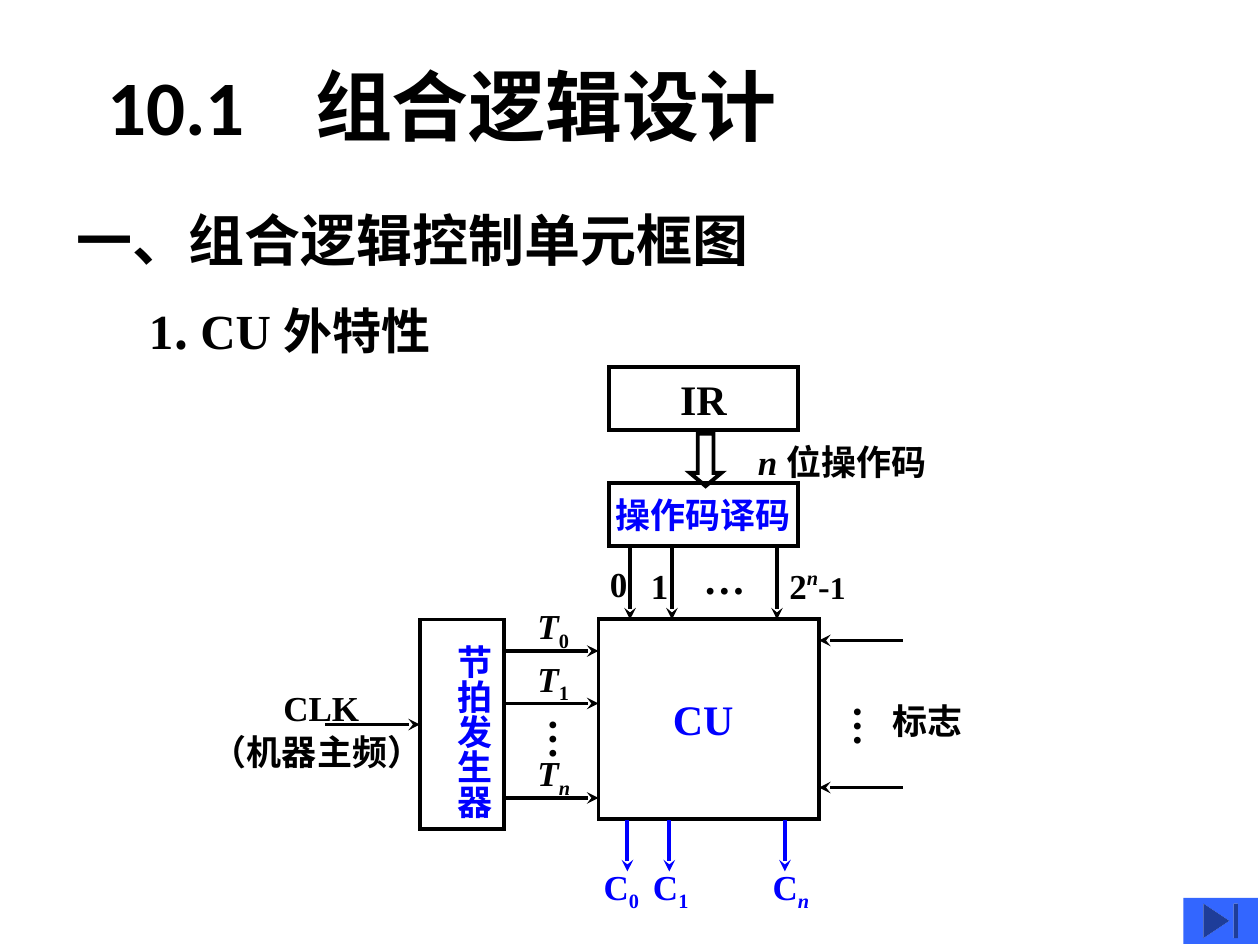
from lxml.etree import SubElement
from pptx import Presentation
from pptx.dml.color import RGBColor
from pptx.enum.shapes import MSO_CONNECTOR, MSO_SHAPE
from pptx.enum.text import MSO_ANCHOR, MSO_AUTO_SIZE, PP_ALIGN
from pptx.oxml.ns import qn
from pptx.util import Inches, Pt

COLORS = {"ink": "000000", "signal": "0000FF", "button": "3366FF"}
SERIF, SANS, CJK = "Times New Roman", "Calibri", "Noto Sans CJK SC"
CELLS_PER_INCH = 12
LINE_WIDTH = Pt(2.25)
SUB, SUPER = -25000, 40000


def color(name):
    return RGBColor.from_string(COLORS[name])


def cells(*lengths):
    """Turn columns and rows of the slide grid into lengths."""
    return [Inches(length / CELLS_PER_INCH) for length in lengths]


def write(para, text, size=20, font=SERIF, ink="ink", italic=False, baseline=0):
    span = para.add_run()
    span.text = text
    span.font.size = Pt(size)
    span.font.name = font
    span.font.bold = True
    span.font.italic = italic
    span.font.color.rgb = color(ink)
    properties = span.font._element
    SubElement(properties, qn("a:ea")).set("typeface", CJK)
    if baseline:
        properties.set("baseline", str(baseline))


def add_label(page, place, *spans, vertical=False, wrap=False, **style):
    """Add a text box; each span is a text or a (text, own format) pair."""
    box = page.shapes.add_textbox(*cells(*place))
    frame = box.text_frame
    frame.word_wrap = wrap
    frame.auto_size = MSO_AUTO_SIZE.SHAPE_TO_FIT_TEXT
    if vertical:
        frame.margin_left = frame.margin_right = Inches(0.05)
        frame._txBody.bodyPr.set("vert", "eaVert")
    for span in spans:
        text, own = (span, {}) if isinstance(span, str) else span
        write(frame.paragraphs[0], text, **{**style, **own})


def add_outline(page, place, kind=MSO_SHAPE.RECTANGLE, text="", **style):
    shape = page.shapes.add_shape(kind, *cells(*place))
    shape.shadow.inherit = False
    shape.fill.background()
    shape.line.color.rgb = color("ink")
    shape.line.width = LINE_WIDTH
    SubElement(shape.line._get_or_add_ln(), qn("a:miter")).set("lim", "800000")
    if text:
        frame = shape.text_frame
        frame.word_wrap = False
        frame.vertical_anchor = MSO_ANCHOR.MIDDLE
        frame.paragraphs[0].alignment = PP_ALIGN.CENTER
        write(frame.paragraphs[0], text, **style)
    return shape


def add_arrow(page, start, end, ink="ink"):
    arrow = page.shapes.add_connector(MSO_CONNECTOR.STRAIGHT, *cells(*start, *end))
    arrow.line.color.rgb = color(ink)
    arrow.line.width = LINE_WIDTH
    SubElement(arrow.line._get_or_add_ln(), qn("a:tailEnd")).set("type", "stealth")
    SubElement(arrow._element.spPr, qn("a:effectLst"))
    return arrow


def add_title(page):
    title = page.shapes.title
    title.left, title.top, title.width, title.height = cells(9, 3, 102, 18)
    title.text_frame.vertical_anchor = MSO_ANCHOR.MIDDLE
    title.text_frame.margin_bottom = Inches(0.29)
    para = title.text_frame.paragraphs[0]
    para.alignment = PP_ALIGN.LEFT
    para.line_spacing = 0.9
    stops = SubElement(para._p.get_or_add_pPr(), qn("a:tabLst"))
    SubElement(stops, qn("a:tab"), pos=str(Inches(1.65)), algn="l")
    write(para, "10.1\t组合逻辑设计", size=44, font=SANS)


def add_headings(page):
    add_label(page, (6.1, 19, 67, 7.7), "一、组合逻辑控制单元框图", size=32, font=CJK)
    add_label(page, (13, 28, 45, 6.8), "1", (". ", {"font": CJK}), "CU ",
              ("外特性", {"font": CJK}), size=28, wrap=True)


def add_opcode_path(page):
    add_outline(page, (58, 35, 18, 6), text="IR", size=24)
    add_outline(page, (58, 46, 18, 6), text="操作码译码", ink="signal")
    block_arrow = add_outline(page, (65.7, 41.3, 3, 5), MSO_SHAPE.DOWN_ARROW)
    block_arrow.adjustments[1] = 0.42
    add_label(page, (71, 41.4, 20, 5.3), ("n ", {"italic": True}), "位操作码")
    for column in (60, 64, 74):
        add_arrow(page, (column, 52), (column, 59))
    add_label(page, (56.9, 53, 4.5, 5.3), "0")
    add_label(page, (60.8, 53.2, 4.5, 5.3), "1")
    add_label(page, (74, 53.2, 8.5, 5.3), "2",
              ("n", {"italic": True, "baseline": SUPER}), "-", ("1", {"size": 18}))
    add_label(page, (65.8, 52, 6.8, 6), "…", size=24)


def add_clock_path(page):
    add_label(page, (41.3, 60.2, 6.4, 18.5), "节拍发生器", ink="signal", vertical=True)
    generator = add_outline(page, (40, 59, 8, 20))
    add_arrow(page, (31, 69), (40, 69)).end_connect(generator, 1)
    add_label(page, (25.8, 64.8, 10, 5.3), "CLK")
    add_label(page, (19, 69, 23, 5.3), "（机器主频）")
    for index, row, label_row in (("0", 62, 57), ("1", 67, 62), ("n", 76, 71)):
        add_arrow(page, (48, row), (57, row))
        add_label(page, (50, label_row, 6.2, 5.8), ("T", {"italic": True}),
                  (index, {"italic": index == "n", "baseline": SUB}))
    add_label(page, (49.8, 67.3, 7.2, 5.3), "…", size=24, vertical=True)


def add_control_unit(page):
    add_outline(page, (57, 59, 21, 19))
    add_label(page, (62.9, 65.5, 8.6, 6), "CU", size=24, ink="signal")
    for row in (61, 75):
        add_arrow(page, (86, row), (78, row))
    add_label(page, (78.8, 66, 7.2, 5.3), "…", size=24, vertical=True)
    add_label(page, (83.8, 66, 10, 5.3), "标志")
    for index, column, label_column in (("0", 59.75, 56.3), ("1", 63.75, 61),
                                        ("n", 74.75, 72.4)):
        add_arrow(page, (column, 78.1), (column, 83), ink="signal")
        add_label(page, (label_column, 81.8, 6.6, 5.8), "C",
                  (index, {"italic": index == "n", "baseline": SUB}), ink="signal")


def add_end_button(page):
    button = add_outline(page, (112.7, 85.5, 7.1, 4.4), MSO_SHAPE.ACTION_BUTTON_END)
    button.fill.solid()
    button.fill.fore_color.rgb = color("button")
    button.line.fill.background()


def main():
    deck = Presentation()
    deck.slide_width, deck.slide_height = cells(120, 90)
    page = deck.slides.add_slide(deck.slide_layouts[5])
    add_title(page)
    add_headings(page)
    add_clock_path(page)
    add_control_unit(page)
    add_opcode_path(page)
    add_end_button(page)
    deck.save("out.pptx")


if __name__ == "__main__":
    main()
